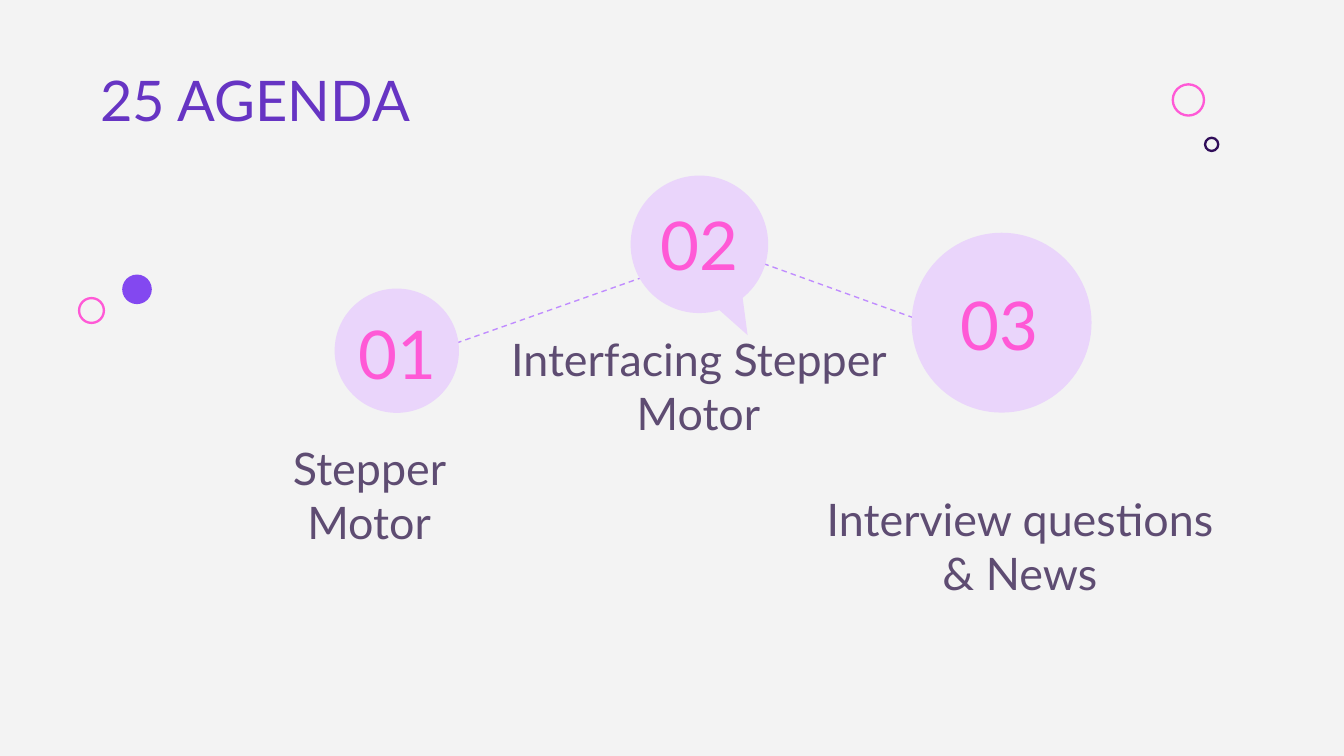
from dataclasses import dataclass

from lxml import etree
from pptx import Presentation
from pptx.dml.color import RGBColor
from pptx.enum import dml, shapes, text
from pptx.oxml import ns
from pptx.util import Cm, Pt


@dataclass(frozen=True)
class Theme:
    font: str = "Lato"
    back: str = "F3F3F3"
    title: str = "6634C3"
    body: str = "5E4C72"
    pink: str = "FF59D6"
    dark: str = "300D59"
    violet: str = "8348F0"
    pale: str = "EAD5FB"
    dash: str = "C08CFF"
    head_size: int = 30
    num_size: int = 36
    body_size: int = 24


@dataclass(frozen=True)
class Box:
    x: float
    y: float
    w: float
    h: float


@dataclass(frozen=True)
class Dot:
    x: float
    y: float
    size: float
    color: str
    solid: bool = False


@dataclass(frozen=True)
class Step:
    disc: Dot
    label: str
    area: Box
    num: Box
    tail: tuple[float, float] | None = None


@dataclass(frozen=True)
class Link:
    x1: float
    y1: float
    x2: float
    y2: float


T = Theme()

DOTS = [
    Dot(22.46, 1.89, 0.59, T.pink),
    Dot(22.9, 2.73, 0.25, T.dark),
    Dot(2.59, 5.47, 0.56, T.violet, solid=True),
    Dot(1.73, 5.87, 0.47, T.pink),
]

LINKS = [Link(13.23, 4.55, 18.77, 6.55), Link(7.42, 6.91, 13.31, 4.83)]

STEPS = [
    Step(Dot(7.5, 6.63, 2.35, T.pale, solid=True), "Stepper Motor",
         Box(4.09, 8.26, 5.77, 2.36), Box(6.5, 5.87, 2.01, 1.6)),
    Step(Dot(13.22, 4.62, 2.6, T.pale, solid=True), "Interfacing Stepper Motor",
         Box(9.35, 6.76, 7.7, 1.8), Box(11.38, 3.81, 3.68, 1.6),
         tail=(0.35, 0.66)),
    Step(Dot(18.93, 6.1, 3.4, T.pale, solid=True), "Interview questions & News",
         Box(15.34, 9.14, 7.87, 2.44), Box(17.22, 5.31, 3.35, 1.6)),
]


def rgb(code: str) -> RGBColor:
    return RGBColor.from_string(code)


def write(slide, words: str, box: Box, *, size: int, color: str,
          align=text.PP_ALIGN.CENTER, anchor=text.MSO_ANCHOR.MIDDLE) -> None:
    frame = slide.shapes.add_textbox(
        Cm(box.x), Cm(box.y), Cm(box.w), Cm(box.h)).text_frame
    frame.word_wrap = True
    frame.vertical_anchor = anchor
    frame.margin_left = frame.margin_right = Cm(0.25)
    frame.margin_top = frame.margin_bottom = Cm(0.25)
    para = frame.paragraphs[0]
    para.alignment = align
    run = para.add_run()
    run.text = words
    run.font.name = T.font
    run.font.size = Pt(size)
    run.font.color.rgb = rgb(color)


def draw(slide, dot: Dot, tail: tuple[float, float] | None = None) -> None:
    """Draw a disc or ring about its centre, with a speech tail if given."""
    kind = shapes.MSO_SHAPE.OVAL_CALLOUT if tail else shapes.MSO_SHAPE.OVAL
    half = dot.size / 2
    oval = slide.shapes.add_shape(
        kind, Cm(dot.x - half), Cm(dot.y - half), Cm(dot.size), Cm(dot.size))
    oval.shadow.inherit = False
    if tail:
        oval.adjustments[0], oval.adjustments[1] = tail
    if dot.solid:
        oval.fill.solid()
        oval.fill.fore_color.rgb = rgb(dot.color)
        oval.line.fill.background()
    else:
        oval.fill.background()
        oval.line.color.rgb = rgb(dot.color)
        oval.line.width = Pt(1.25)


def join(slide, link: Link) -> None:
    line = slide.shapes.add_connector(
        shapes.MSO_CONNECTOR.STRAIGHT,
        Cm(link.x1), Cm(link.y1), Cm(link.x2), Cm(link.y2))
    line.line.color.rgb = rgb(T.dash)
    line.line.width = Pt(0.75)
    line.line.dash_style = dml.MSO_LINE.DASH
    etree.SubElement(line._element.spPr, ns.qn("a:effectLst"))


def main() -> None:
    deck = Presentation()
    deck.slide_width, deck.slide_height = Cm(25.4), Cm(14.29)
    slide = deck.slides.add_slide(deck.slide_layouts[6])
    slide.background.fill.solid()
    slide.background.fill.fore_color.rgb = rgb(T.back)

    for dot in DOTS:
        draw(slide, dot)
    for link in LINKS:
        join(slide, link)
    write(slide, "25 AGENDA", Box(1.65, 0.99, 18.69, 1.8),
          size=T.head_size, color=T.title,
          align=text.PP_ALIGN.LEFT, anchor=text.MSO_ANCHOR.TOP)
    for rank, step in enumerate(STEPS, 1):
        draw(slide, step.disc, step.tail)
        write(slide, f"{rank:02}", step.num, size=T.num_size, color=T.pink)
    for step in STEPS:
        write(slide, step.label, step.area, size=T.body_size, color=T.body,
              anchor=text.MSO_ANCHOR.BOTTOM)

    deck.save("out.pptx")


if __name__ == "__main__":
    main()
